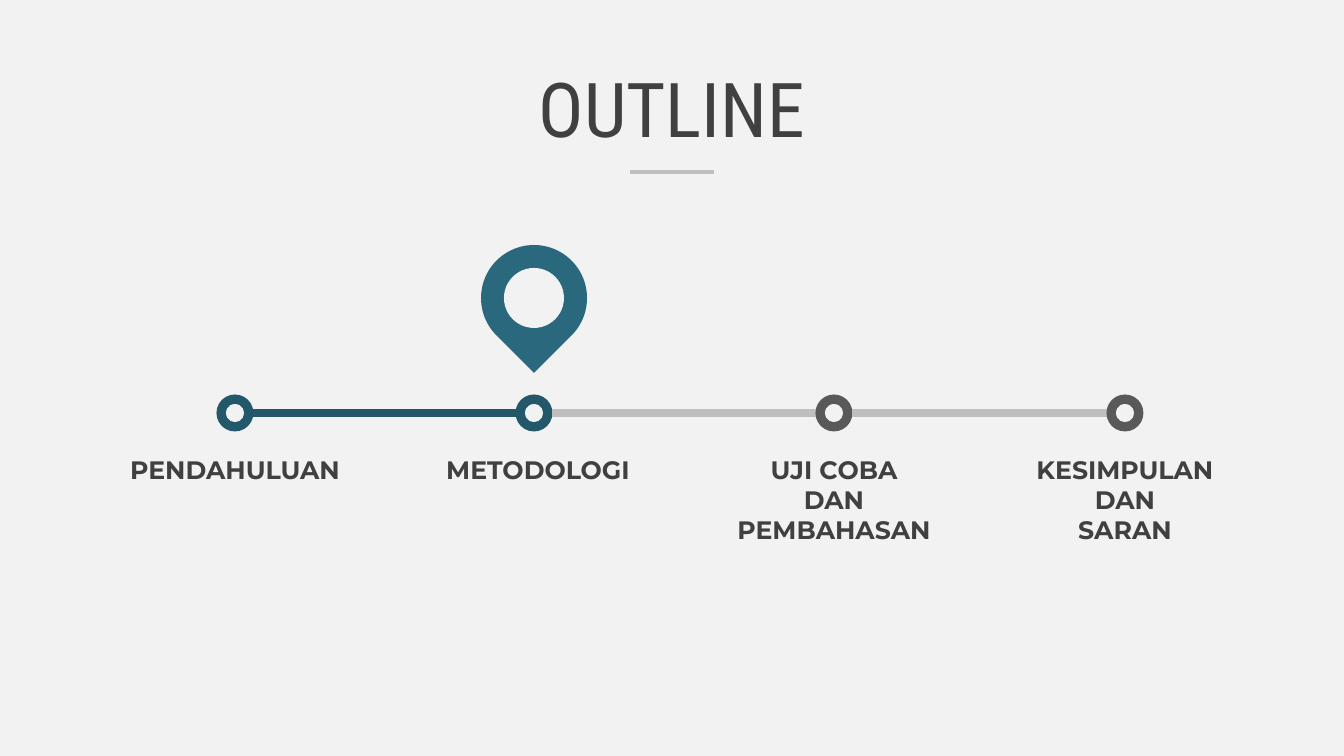
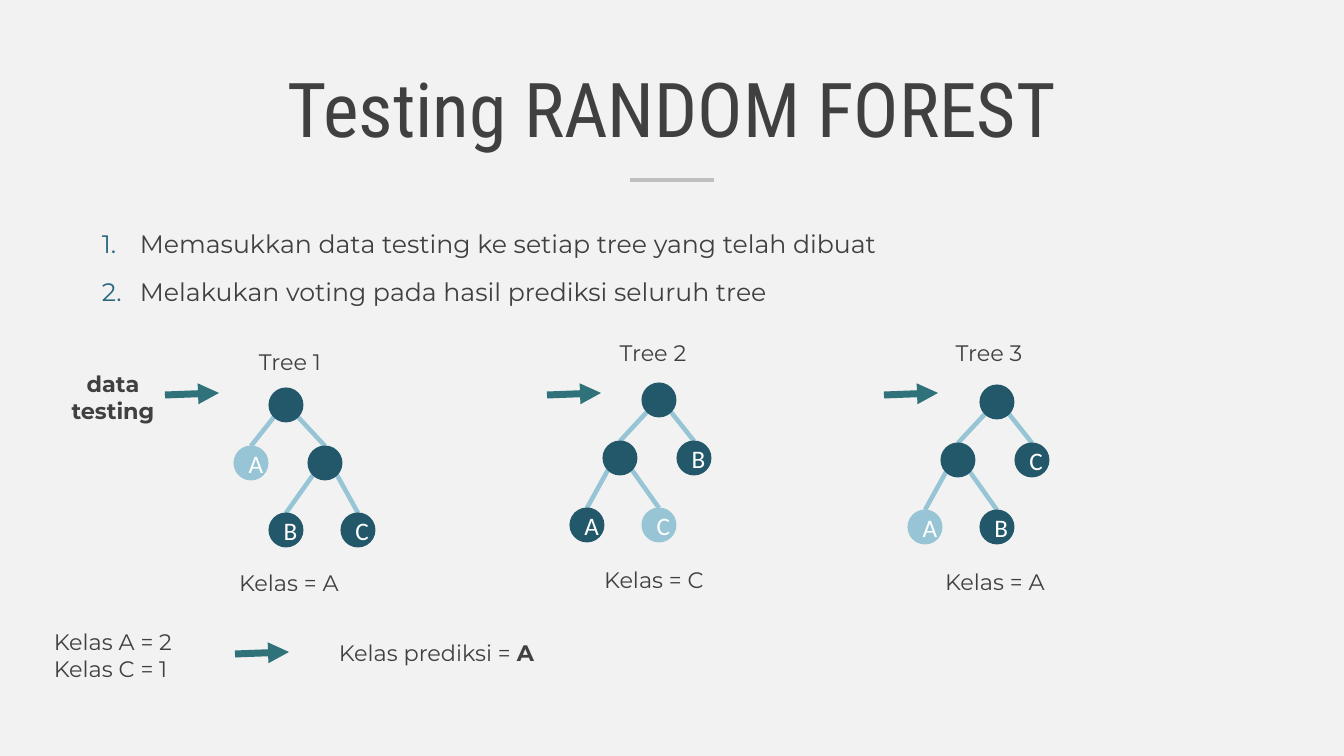
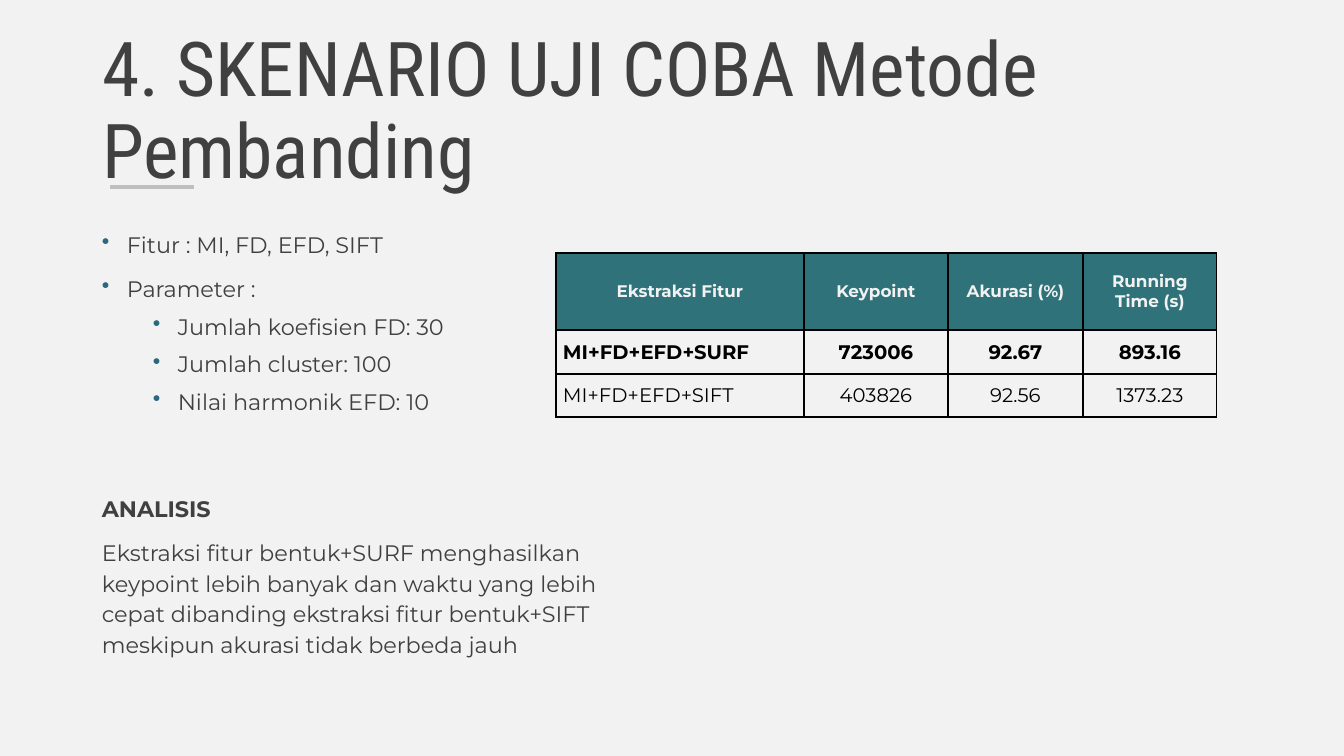
from dataclasses import dataclass

import pptx
import pptx.dml.color
import pptx.enum.shapes
import pptx.enum.text
import pptx.util
from lxml import etree
from pptx.oxml.ns import qn

SHAPE = pptx.enum.shapes.MSO_SHAPE
ALIGN = pptx.enum.text.PP_ALIGN
MIDDLE = pptx.enum.text.MSO_ANCHOR.MIDDLE
EMU_PER_PX = 914400 / 100.8


@dataclass(frozen=True)
class Theme:
    background: str = "F2F2F2"
    ink: str = "404040"
    white: str = "FFFFFF"
    black: str = "000000"
    rule: str = "BFBFBF"
    grey: str = "595959"
    dark: str = "23586B"
    pin: str = "2A687E"
    teal: str = "2F7279"
    light: str = "97C5D5"
    title_font: str = "Roboto Condensed"
    body_font: str = "Montserrat"
    node_font: str = "Calibri"
    title_size: int = 54
    large: int = 18
    body: int = 16
    cell: int = 14
    header: int = 12


T = Theme()


def px(n):
    return pptx.util.Emu(round(n * EMU_PER_PX))


def rgb(value):
    return pptx.dml.color.RGBColor.from_string(value)


def set_bullet(p, bullet, indent, hang):
    """Give p a hanging bullet; the bullet "1." stands for automatic numbers."""
    pPr = p._p.get_or_add_pPr()
    pPr.set("marL", str(px(indent)))
    pPr.set("indent", str(-px(hang)))
    color = etree.SubElement(pPr, qn("a:buClr"))
    etree.SubElement(color, qn("a:srgbClr"), val=T.pin)
    if bullet == "1.":
        etree.SubElement(pPr, qn("a:buAutoNum"), type="arabicPeriod")
    else:
        etree.SubElement(pPr, qn("a:buChar"), char=bullet)


def write(tf, text, size=T.body, bold=False, color=T.ink, font=T.body_font,
          align=ALIGN.LEFT, spacing=None, before=0, bullet=None, indent=0,
          hang=0, level=0, bold_tail=""):
    """Add one paragraph to tf for each line of text."""
    for line in text.split("\n"):
        first = not tf.text
        p = tf.paragraphs[0] if first else tf.add_paragraph()
        p.level = level
        if bullet:
            set_bullet(p, bullet, indent, hang)
        p.alignment = align
        if spacing:
            p.line_spacing = spacing
        if before and not first:
            p.space_before = pptx.util.Pt(before)
        for part, is_bold in ((line, bold), (bold_tail, True)):
            if part:
                r = p.add_run()
                r.text = part
                r.font.size = pptx.util.Pt(size)
                r.font.bold = is_bold
                r.font.name = font
                r.font.color.rgb = rgb(color)


def add_box(slide, x, y, w, h, wrap=True):
    tf = slide.shapes.add_textbox(px(x), px(y), px(w), px(h)).text_frame
    tf.word_wrap = wrap
    return tf


def add_label(slide, center, y, w, h, text, **fmt):
    write(add_box(slide, center - w / 2, y, w, h, wrap=False), text,
          align=ALIGN.CENTER, **fmt)


def add_shape(slide, kind, x, y, size, color):
    sp = slide.shapes.add_shape(kind, px(x), px(y), px(size), px(size))
    sp.shadow.inherit = False
    sp.fill.solid()
    sp.fill.fore_color.rgb = rgb(color)
    sp.line.fill.background()
    return sp


def add_line(slide, start, end, color, width, arrow=False):
    line = slide.shapes.add_connector(
        pptx.enum.shapes.MSO_CONNECTOR.STRAIGHT, *map(px, start + end))
    line.line.color.rgb = rgb(color)
    line.line.width = pptx.util.Pt(width)
    if arrow:
        etree.SubElement(line.line._get_or_add_ln(), qn("a:tailEnd"), type="triangle")
    etree.SubElement(line._element.spPr, qn("a:effectLst"))


def add_arrow(slide, x, y):
    add_line(slide, (x, y), (x + 54, y - 2), T.teal, 5, arrow=True)


def add_slide(prs, title, rule_y, rule_x=630, align=ALIGN.CENTER):
    slide = prs.slides.add_slide(prs.slide_layouts[5])
    sp = slide.shapes.title
    sp.left, sp.top, sp.width, sp.height = map(px, (92, 40, 1160, 146))
    tf = sp.text_frame
    tf.word_wrap = True
    tf.auto_size = pptx.enum.text.MSO_AUTO_SIZE.NONE
    tf.vertical_anchor = MIDDLE
    write(tf, title, size=T.title_size, font=T.title_font, align=align, spacing=0.9)
    add_line(slide, (rule_x, rule_y), (rule_x + 84, rule_y), T.rule, 3.25)
    return slide


def add_node(slide, center, text, color):
    size = 35
    x, y = center
    sp = add_shape(slide, SHAPE.OVAL, x - size / 2, y - size / 2, size, color)
    if text:
        sp.text_frame.vertical_anchor = MIDDLE
        write(sp.text_frame, text, size=T.large, color=T.white, font=T.node_font,
              align=ALIGN.CENTER)


def add_tree(slide, root, side, leaf, inner_leaf, outer_leaf, answer):
    """Draw a tree whose inner node lies right (side 1) or left (side -1)."""
    x, y = root
    inner = (x + side * 39, y + 58)
    leaves = {
        leaf: (root, (x - side * 35, y + 58), -side),
        inner_leaf: (inner, (x, y + 125), -side),
        outer_leaf: (inner, (x + side * 72, y + 125), side),
    }
    for parent, child, way in [(root, inner, side), *leaves.values()]:
        add_line(slide, (parent[0] + way * 12, parent[1] + 12),
                 (child[0], child[1] - 17), T.light, 3.25)
    for center in (root, inner):
        add_node(slide, center, "", T.dark)
    for name, (_, center, _) in leaves.items():
        add_node(slide, center, name, T.light if name == answer else T.dark)


def add_table(slide, x, y, widths, heights, rows):
    table = slide.shapes.add_table(len(rows), len(widths), px(x), px(y),
                                   px(sum(widths)), px(sum(heights))).table
    for column, width in zip(table.columns, widths):
        column.width = px(width)
    for i, (row, height) in enumerate(zip(rows, heights)):
        table.rows[i].height = px(height)
        for j, text in enumerate(row):
            cell = table.cell(i, j)
            cell.margin_left = cell.margin_right = px(7)
            cell.margin_top = cell.margin_bottom = 0
            cell.vertical_anchor = MIDDLE
            set_borders(cell)
            header = i == 0
            if header:
                cell.fill.solid()
                cell.fill.fore_color.rgb = rgb(T.teal)
            else:
                cell.fill.background()
            write(cell.text_frame, text, size=T.header if header else T.cell,
                  bold=i < 2, color=T.background if header else T.black,
                  align=ALIGN.CENTER if header or j else ALIGN.LEFT)


def set_borders(cell):
    tcPr = cell._tc.get_or_add_tcPr()
    for side in "LRTB":
        ln = etree.SubElement(tcPr, qn("a:ln" + side), w=str(pptx.util.Pt(1)))
        fill = etree.SubElement(ln, qn("a:solidFill"))
        etree.SubElement(fill, qn("a:srgbClr"), val=T.black)


def build_outline(prs):
    slide = add_slide(prs, "OUTLINE", 172)
    stops = [
        (235, 235, 233, "PENDAHULUAN"),
        (534, 538, 207, "METODOLOGI"),
        (834, 834, 216, "UJI COBA\nDAN\nPEMBAHASAN"),
        (1125, 1125, 200, "KESIMPULAN\nDAN\nSARAN"),
    ]
    current, ring, y = 1, 37, 413
    for i, (x, label_x, width, text) in enumerate(stops):
        if i:
            add_line(slide, (stops[i - 1][0] + 18, y), (x - 18, y),
                     T.dark if i <= current else T.rule, 6)
        add_shape(slide, SHAPE.DONUT, x - ring / 2, y - ring / 2, ring,
                  T.dark if i <= current else T.grey)
        add_label(slide, label_x, 449, width, 40 if "\n" not in text else 102, text,
                  size=T.large, bold=True)
    pin_x = stops[current][0]
    pin = add_shape(slide, SHAPE.TEAR, pin_x - 53, 245, 106, T.pin)
    pin.rotation = 135
    add_shape(slide, SHAPE.OVAL, pin_x - 30, 268, 60, T.background)


def build_testing(prs):
    slide = add_slide(prs, "Testing RANDOM FOREST", 180)
    write(add_box(slide, 92, 219, 1160, 93),
          "Memasukkan data testing ke setiap tree yang telah dibuat\n"
          "Melakukan voting pada hasil prediksi seluruh tree",
          size=T.large, spacing=1.14, before=10, bullet="1.", indent=38, hang=38)
    # root, side, leaf letters, answer, caption, result, arrow
    trees = [
        ((286, 405), 1, "ABC", "A", (290, 343), (289, 564), 165),
        ((659, 400), -1, "BCA", "C", (653, 334), (654, 561), 547),
        ((997, 402), -1, "CBA", "A", (989, 334), (995, 563), 884),
    ]
    for n, (root, side, leaves, answer, caption, result, arrow_x) in enumerate(trees, 1):
        add_tree(slide, root, side, *leaves, answer)
        add_label(slide, *caption, 89, 37, f"Tree {n}")
        add_label(slide, *result, 122, 37, f"Kelas = {answer}")
        add_arrow(slide, arrow_x, 395)
    add_label(slide, 113, 365, 105, 64, "data\ntesting", bold=True)
    write(add_box(slide, 44, 623, 141, 64), "Kelas A = 2\nKelas C = 1")
    add_arrow(slide, 235, 654)
    write(add_box(slide, 329, 634, 218, 37), "Kelas prediksi = ", bold_tail="A")


def build_scenario(prs):
    slide = add_slide(prs, "4. SKENARIO UJI COBA Metode Pembanding", 187,
                      rule_x=110, align=ALIGN.LEFT)
    tf = add_box(slide, 92, 222, 452, 250)
    write(tf, "Fitur : MI, FD, EFD, SIFT\nParameter :", spacing=1.14, before=10,
          bullet="•", indent=25, hang=25)
    write(tf, "Jumlah koefisien FD: 30\nJumlah cluster: 100\nNilai harmonik EFD: 10",
          spacing=1.14, before=5, bullet="•", indent=76, hang=25, level=1)
    add_table(slide, 556, 253, [248, 144, 135, 134], [77, 44, 43], [
        ["Ekstraksi Fitur", "Keypoint", "Akurasi (%)", "Running\nTime (s)"],
        ["MI+FD+EFD+SURF", "723006", "92.67", "893.16"],
        ["MI+FD+EFD+SIFT", "403826", "92.56", "1373.23"],
    ])
    tf = add_box(slide, 92, 486, 542, 204)
    write(tf, "ANALISIS", bold=True, spacing=1.14)
    write(tf, "Ekstraksi fitur bentuk+SURF menghasilkan keypoint lebih banyak dan "
              "waktu yang lebih cepat dibanding ekstraksi fitur bentuk+SIFT "
              "meskipun akurasi tidak berbeda jauh", spacing=1.14, before=10)


def main():
    prs = pptx.Presentation()
    prs.slide_width, prs.slide_height = px(1344), px(756)
    fill = prs.slide_master.background.fill
    fill.solid()
    fill.fore_color.rgb = rgb(T.background)
    build_outline(prs)
    build_testing(prs)
    build_scenario(prs)
    prs.save("out.pptx")


if __name__ == "__main__":
    main()
